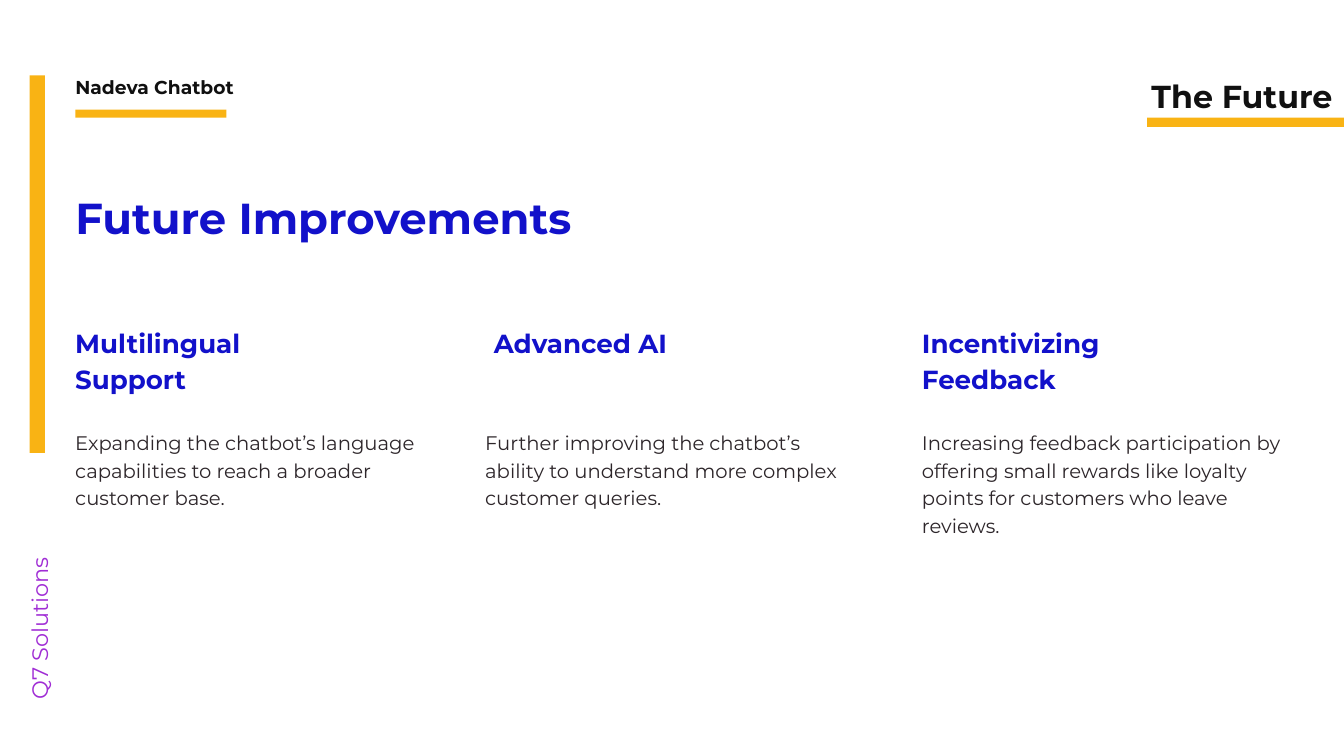
import pptx
import pptx.dml.color
import pptx.enum.shapes
import pptx.enum.text
import pptx.util
from pptx.util import Inches

BLUE = "1211CA"
BLACK = "101010"
GRAY = "2D262A"
PURPLE = "A02DD5"
AMBER = "F9B314"


def color(value):
    return pptx.dml.color.RGBColor.from_string(value)


def add_text(text, left, top, width, height, size, fill, spacing, bold=False, align="LEFT", rotation=0):
    box = page.shapes.add_textbox(Inches(left), Inches(top), Inches(width), Inches(height))
    box.rotation = rotation
    frame = box.text_frame
    frame.word_wrap = True
    frame.margin_left = frame.margin_right = frame.margin_top = frame.margin_bottom = 0
    para = frame.paragraphs[0]
    para.alignment = getattr(pptx.enum.text.PP_ALIGN, align)
    para.line_spacing = pptx.util.Pt(spacing)
    span = para.add_run()
    span.text = text
    span.font.name = "Montserrat"
    span.font.size = pptx.util.Pt(size)
    span.font.bold = bold
    span.font.color.rgb = color(fill)


deck = pptx.Presentation()
deck.slide_width = Inches(20)
deck.slide_height = Inches(11.25)
page = deck.slides.add_slide(deck.slide_layouts[6])

# Amber bars: section underline, side bar, project underline
for left, top, width, height in [
    (17.07, 1.75, 2.93, 0.14),
    (0.44, 1.12, 0.23, 5.62),
    (1.12, 1.63, 2.25, 0.12),
]:
    bar = page.shapes.add_shape(
        pptx.enum.shapes.MSO_SHAPE.RECTANGLE, Inches(left), Inches(top), Inches(width), Inches(height)
    )
    bar.shadow.inherit = False
    bar.fill.solid()
    bar.fill.fore_color.rgb = color(AMBER)
    bar.line.fill.background()

# Header, title and vertical team name
add_text("Nadeva Chatbot", 1.12, 1.07, 3.82, 0.38, size=20, fill=BLACK, spacing=28, bold=True)
add_text("The Future", 15.73, 1.05, 4.1, 0.63, size=34, fill=BLACK, spacing=47.6, bold=True, align="RIGHT")
add_text("Future Improvements", 1.12, 3.01, 8.02, 0.64, size=46.4, fill=BLUE, spacing=43.6, bold=True)
add_text("Q7 Solutions", -1.64, 8.01, 4.35, 0.44, size=24, fill=PURPLE, spacing=33.6, rotation=270)

# Three improvement columns: heading left, body left, heading, body
columns = [
    (1.12, 1.12, "Multilingual Support",
     "Expanding the chatbot’s language capabilities to reach a broader customer base."),
    (7.35, 7.22, "Advanced AI",
     "Further improving the chatbot’s ability to understand more complex customer queries."),
    (13.72, 13.72, "Incentivizing Feedback",
     "Increasing feedback participation by offering small rewards like loyalty points "
     "for customers who leave reviews."),
]
for heading_left, body_left, heading, body in columns:
    add_text(heading, heading_left, 4.79, 4.03, 1.07, size=28, fill=BLUE, spacing=39.2, bold=True)
    add_text(body, body_left, 6.36, 5.56, 1.61, size=21, fill=GRAY, spacing=29.4)

deck.save("out.pptx")
